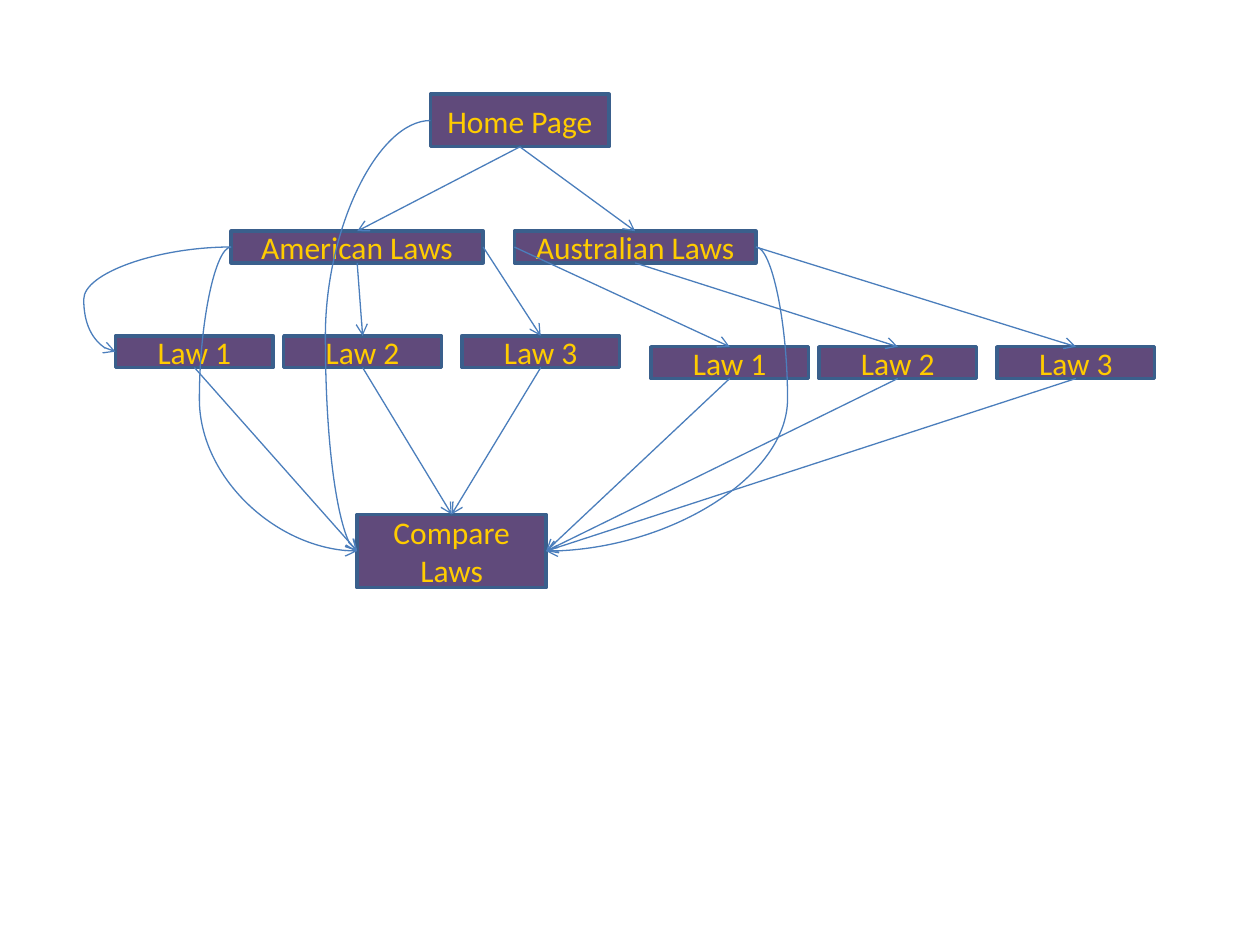
from pptx import Presentation
from pptx.dml.color import RGBColor
from pptx.enum.shapes import MSO_CONNECTOR as Link, MSO_SHAPE as Shape
from pptx.enum.text import MSO_ANCHOR as Anchor, PP_ALIGN as Align
from pptx.oxml.ns import qn
from pptx.util import Cm, Pt
from lxml.etree import SubElement as Sub

TOP, LEFT, BOTTOM, RIGHT = range(4)


def color(code):
    return RGBColor.from_string(code)


class Chart:
    font, size = "Calibri", 18
    fill, edge, text, wire = "604A7B", "3A5F8C", "FFCC00", "4B7EBC"

    def __init__(self, slide):
        self.shapes = slide.shapes

    def box(self, text, x, y, w, h=0.64):
        box = self.shapes.add_shape(Shape.RECTANGLE, Cm(x), Cm(y), Cm(w), Cm(h))
        box.shadow.inherit = False
        box.fill.solid()
        box.fill.fore_color.rgb = color(self.fill)
        box.line.color.rgb = color(self.edge)
        box.line.width = Pt(2)
        frame = box.text_frame
        frame.word_wrap = True
        frame.vertical_anchor = Anchor.MIDDLE
        para = frame.paragraphs[0]
        para.text = text
        para.alignment = Align.CENTER
        para.font.name = self.font
        para.font.size = Pt(self.size)
        para.font.color.rgb = color(self.text)
        return box

    def arrow(self, start, out, end, into, kind=Link.STRAIGHT):
        line = self.shapes.add_connector(kind, 0, 0, 0, 0)
        line.begin_connect(start, out)
        line.end_connect(end, into)
        line.line.color.rgb = color(self.wire)
        line.line.width = Pt(0.75)
        Sub(line.line._get_or_add_ln(), qn("a:tailEnd"), type="arrow")
        Sub(line._element.spPr, qn("a:effectLst"))
        return line

    def curve(self, start, out, end, into, bend):
        """Draw a curved arrow whose middle lies at x = bend."""
        line = self.arrow(start, out, end, into, Link.CURVE)
        ratio = (Cm(bend) - line.begin_x) / (line.end_x - line.begin_x)
        guides = line._element.spPr.find(qn("a:prstGeom")).get_or_add_avLst()
        Sub(guides, qn("a:gd"), name="adj1", fmla=f"val {round(ratio * 100000)}")


deck = Presentation()
deck.slide_width, deck.slide_height = Cm(25.4), Cm(19.05)
chart = Chart(deck.slides.add_slide(deck.slide_layouts[6]))

# Pages
home = chart.box("Home Page", 8.68, 1.9, 3.6, 1.06)
usa = chart.box("American Laws", 4.66, 4.66, 5.08)
aus = chart.box("Australian Laws", 10.37, 4.66, 4.87)
steps = (0, 3.39, 6.98)
us_laws, au_laws = (
    [chart.box(f"Law {n}", x + step, y, 3.18) for n, step in enumerate(steps, 1)]
    for x, y in ((2.33, 6.77), (13.12, 6.99))
)
comp = chart.box("Compare Laws", 7.2, 10.37, 3.81, 1.48)

# Curves to the comparison page
chart.curve(home, LEFT, comp, LEFT, 6.56)
chart.curve(usa, LEFT, comp, LEFT, 4.02)
chart.curve(aus, RIGHT, comp, RIGHT, 15.88)

# Laws to the comparison page
for law, side in zip(us_laws + au_laws, (LEFT, TOP, TOP, RIGHT, RIGHT, RIGHT)):
    chart.arrow(law, BOTTOM, comp, side)

# Home page to countries, countries to laws
for land in (usa, aus):
    chart.arrow(home, BOTTOM, land, TOP)
for law, side in zip(us_laws[1:], (BOTTOM, RIGHT)):
    chart.arrow(usa, side, law, TOP)
for law, side in zip(au_laws, (LEFT, BOTTOM, RIGHT)):
    chart.arrow(aus, side, law, TOP)
chart.curve(usa, LEFT, us_laws[0], LEFT, 1.69)

deck.save("out.pptx")
